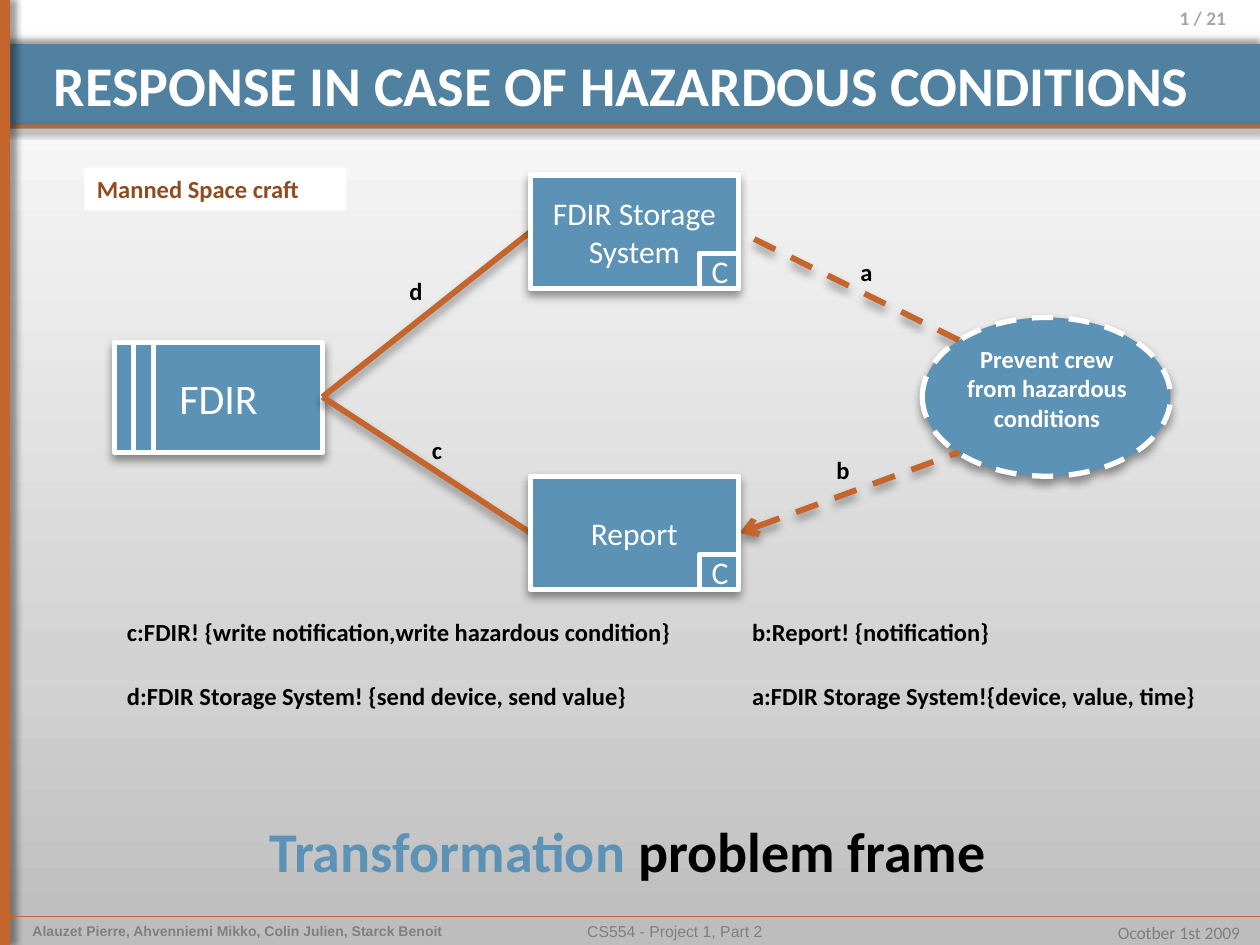
from lxml.etree import SubElement
from pptx import Presentation
from pptx.dml.color import RGBColor
from pptx.enum.dml import MSO_LINE
from pptx.enum.shapes import MSO_CONNECTOR, MSO_SHAPE
from pptx.enum.text import MSO_ANCHOR, PP_ALIGN
from pptx.oxml import parse_xml
from pptx.oxml.ns import nsdecls, qn
from pptx.util import Inches, Pt

COLORS = {
    "blue": "5C92B5", "banner": "5181A0", "orange": "C4652D", "brown": "914B21",
    "white": "FFFFFF", "black": "000000", "footer": "7F7F7F", "authors": "808080",
    "page": "A6A6A6", "bottom": "BDBDBD", "middle": "D3D3D3",
}
LEFT, CENTER, RIGHT = PP_ALIGN.LEFT, PP_ALIGN.CENTER, PP_ALIGN.RIGHT
DROP = (5.2, 90)  # shadow blur in points and direction in degrees


def color(name):
    return RGBColor.from_string(COLORS[name])


class Deck:
    """Style and current slide; lengths are columns and rows of one inch."""

    def __init__(self, columns, rows):
        self.presentation = Presentation()
        self.presentation.slide_width = Inches(columns)
        self.presentation.slide_height = Inches(rows)
        self.slide = self.presentation.slides.add_slide(self.presentation.slide_layouts[6])
        self.shapes = self.slide.shapes

    def background(self, stops):
        self.slide.background.fill.solid()
        properties = self.slide.element.find(".//" + qn("p:bgPr"))
        marks = "".join(
            f'<a:gs pos="{share * 1000}"><a:srgbClr val="{COLORS[name]}"/></a:gs>'
            for share, name in stops)
        properties.replace(properties[0], parse_xml(
            f'<a:gradFill {nsdecls("a")} rotWithShape="1"><a:gsLst>{marks}</a:gsLst>'
            '<a:lin ang="16200000" scaled="0"/></a:gradFill>'))

    def shadow(self, shape, shadow):
        properties = shape.element.spPr
        effects = properties.find(qn("a:effectLst"))
        if effects is None:
            effects = SubElement(properties, qn("a:effectLst"))
        if shadow:
            blur, direction = shadow
            outer = SubElement(effects, qn("a:outerShdw"), blurRad=str(Pt(blur)),
                               dist=str(Pt(3)), dir=str(direction * 60000), rotWithShape="0")
            black = SubElement(outer, qn("a:srgbClr"), val=COLORS["black"])
            SubElement(black, qn("a:alpha"), val="40000")

    def add_runs(self, shape, runs, size, align, bold=False, font="Calibri"):
        paragraph = shape.text_frame.paragraphs[0]
        paragraph.alignment = align
        for words, ink in runs:
            run = paragraph.add_run()
            run.text = words
            run.font.name, run.font.size, run.font.bold = font, Pt(size), bold
            run.font.color.rgb = color(ink)

    def box(self, place, fill, kind=MSO_SHAPE.RECTANGLE, outline=False, dash=None,
            shadow=None, text=None, size=18):
        shape = self.shapes.add_shape(kind, *map(Inches, place))
        shape.fill.solid()
        shape.fill.fore_color.rgb = color(fill)
        if outline:
            shape.line.color.rgb = color("white")
            shape.line.width = Pt(3)
            shape.line.dash_style = dash
        else:
            shape.line.fill.background()
        shape.shadow.inherit = False
        self.shadow(shape, shadow)
        if text:
            shape.text_frame.word_wrap = True
            shape.text_frame.vertical_anchor = MSO_ANCHOR.MIDDLE
            self.add_runs(shape, [(text, "white")], size, CENTER)

    def text(self, place, *runs, size=14, align=LEFT, bold=True, font="Calibri", right=0.1):
        shape = self.shapes.add_textbox(*map(Inches, place))
        shape.text_frame.word_wrap = True
        shape.text_frame.margin_right = Inches(right)
        self.add_runs(shape, runs, size, align, bold, font)

    def line(self, start, end, ink="orange", width=3.35, dash=None, arrow=False, shadow=DROP):
        connector = self.shapes.add_connector(
            MSO_CONNECTOR.STRAIGHT, *map(Inches, (*start, *end)))
        connector.line.color.rgb = color(ink)
        connector.line.width = Pt(width)
        if dash:
            connector.line.dash_style = dash
        if arrow:
            outline = connector.element.spPr.find(qn("a:ln"))
            SubElement(outline, qn("a:headEnd"), type="arrow")
        self.shadow(connector, shadow)

    def domain(self, top, name):
        """Box with a small C mark in its lower right corner."""
        left, width, height, mark_width, mark_height = 4.21, 1.65, 0.9, 0.31, 0.28
        self.box((left, top, width, height), "blue", outline=True, shadow=DROP, text=name)
        mark = (left + width - mark_width, top + height - mark_height, mark_width, mark_height)
        self.box(mark, "blue", outline=True, text="C")


deck = Deck(10, 7.5)

# Background, banner and side bar
deck.background([(0, "bottom"), (30, "middle"), (100, "white")])
deck.box((0, 0.35, 10, 0.67), "banner", shadow=(4, 270))
deck.box((0, 0.99, 10, 0.03), "orange", shadow=(4, 45))
deck.box((0, 0, 0.08, 7.5), "orange", shadow=(4, 0))
deck.text((0.33, 0.35, 9.28, 0.58), ("RESPONSE IN CASE OF HAZARDOUS CONDITIONS", "white"), size=32)

# Page number and footer
deck.text((8.83, 0, 1.17, 0.39), ("1 / 21", "page"), size=11, align=RIGHT, right=0.27)
deck.line((0.08, 7.27), (10, 7.27), width=0.25, shadow=(4, 45))
deck.text((0.16, 7.27, 3.67, 0.23),
          ("Alauzet Pierre, Ahvenniemi Mikko, Colin Julien, Starck Benoit", "authors"),
          size=8, font="Arial")
deck.text((2.27, 7.27, 6.17, 0.23), ("CS554 - Project 1, Part 2", "footer"),
          size=9, align=CENTER, bold=False, font="Arial")
deck.text((8.71, 7.27, 1.23, 0.27), ("Ocotber 1st 2009", "footer"),
          size=10, align=RIGHT, bold=False)

# Machine with its two bars
deck.box((0.91, 2.72, 1.65, 0.87), "blue", outline=True, shadow=DROP, text="FDIR", size=24)
for bar in (1.06, 1.22):
    deck.line((bar, 2.72), (bar, 3.58), ink="white", width=3, shadow=None)

# Requirement and its dashed links
deck.line((7.61, 2.7), (5.87, 1.84), dash=MSO_LINE.DASH)
deck.box((7.32, 2.52, 1.97, 1.26), "blue", MSO_SHAPE.OVAL, outline=True,
         dash=MSO_LINE.DASH, shadow=DROP)
deck.text((7.56, 2.68, 1.5, 0.81), ("Prevent crew from hazardous conditions", "white"), align=CENTER)
deck.line((5.87, 4.23), (7.61, 3.59), dash=MSO_LINE.DASH, arrow=True)

# Domains linked to the machine
for top, name in ((1.39, "FDIR Storage System"), (3.78, "Report")):
    deck.line((2.56, 3.15), (4.21, top + 0.45))
    deck.domain(top, name)

# Link letters
for left, top, letter in ((6.73, 1.99, "a"), (6.54, 3.56, "b"), (3.33, 3.4, "c"), (3.15, 2.14, "d")):
    deck.text((left, top, 0.35, 0.34), (letter, "black"))

# Legend in two columns
legend = (
    ("c:FDIR! {write notification,write hazardous condition}", "b:Report! {notification}"),
    ("d:FDIR Storage System! {send device, send value}",
     "a:FDIR Storage System!{device, value, time}"),
)
for row, entries in enumerate(legend):
    for left, width, entry in zip((0.91, 5.87), (4.56, 3.85), entries):
        deck.text((left, 4.85 + row * 0.51, width, 0.34), (entry, "black"))

# Frame name and context label
deck.text((2.04, 6.43, 6, 0.64), ("Transformation ", "blue"), ("problem frame", "black"), size=32)
deck.box((0.67, 1.33, 2.08, 0.34), "white")
deck.text((0.67, 1.33, 2.08, 0.34), ("Manned Space craft", "brown"))

deck.presentation.save("out.pptx")
